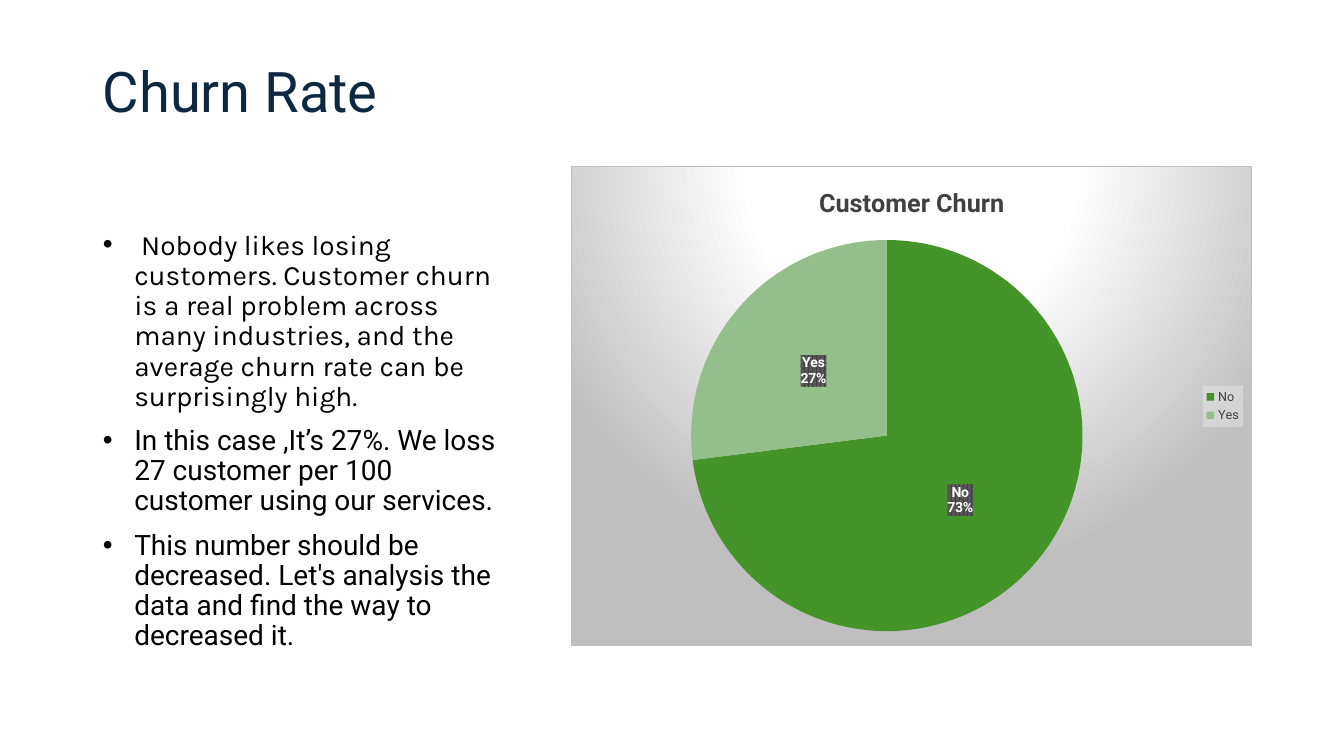
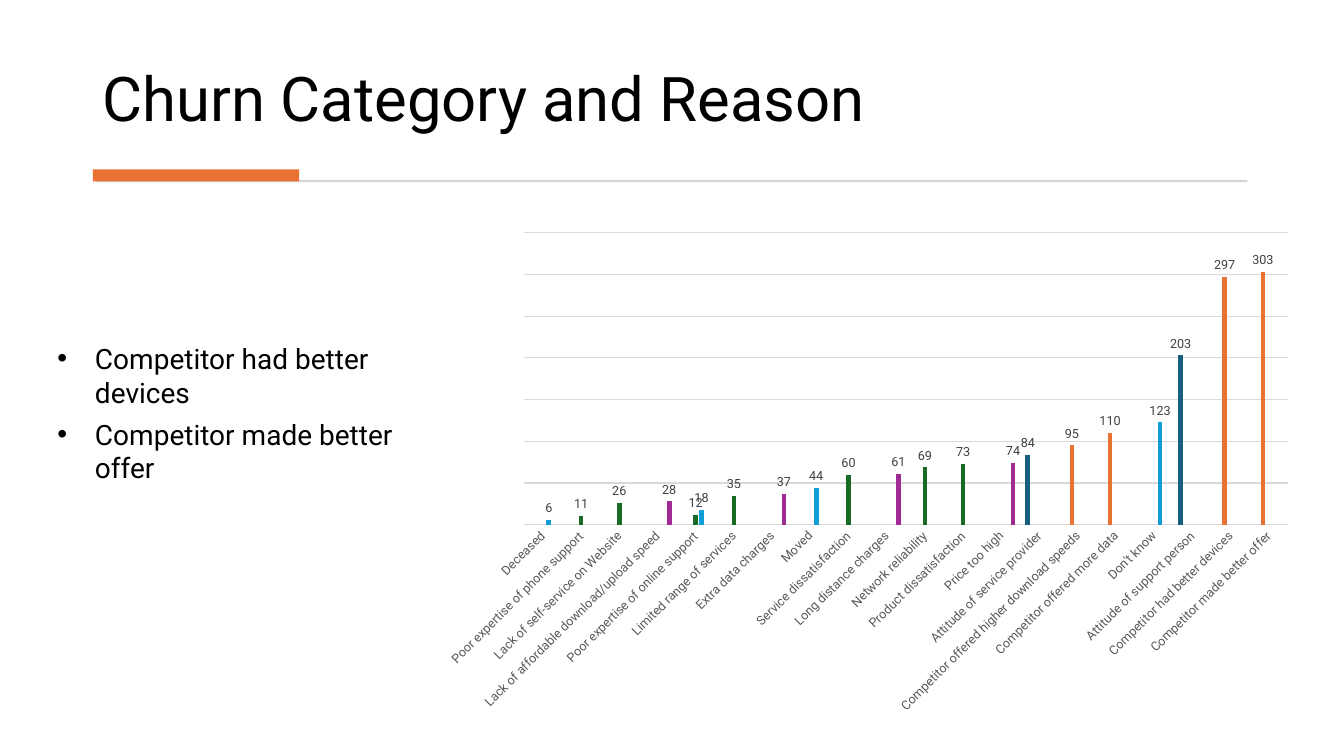
from dataclasses import dataclass

from lxml.etree import fromstring
from pptx import Presentation
from pptx.chart.data import CategoryChartData
from pptx.dml.color import RGBColor
from pptx.enum.chart import XL_CHART_TYPE, XL_LABEL_POSITION, XL_LEGEND_POSITION, XL_TICK_MARK
from pptx.enum.shapes import MSO_SHAPE
from pptx.enum.text import MSO_ANCHOR, MSO_AUTO_SIZE, PP_ALIGN
from pptx.util import Cm, Pt


@dataclass(frozen=True)
class Theme:
    font: str = "Roboto"
    quote_font: str = "Karla"
    black: str = "000000"
    white: str = "FFFFFF"
    navy: str = "0E2841"
    orange: str = "E97132"
    rule: str = "D5D5D5"
    grid: str = "D9D9D9"
    silver: str = "BFBFBF"
    dark: str = "404040"
    grey: str = "595959"
    pale: str = "F2F2F2"
    pie: tuple = ("459429", "93C08A")
    bars: tuple = ("156082", "E97132", "196B24", "0F9ED5", "A02B93")
    rate_title: int = 40
    reasons_title: int = 44
    body: int = 20
    chart_title: int = 18
    chart: int = 10
    small: int = 9


T = Theme()
NS = ('xmlns:a="http://schemas.openxmlformats.org/drawingml/2006/main" '
      'xmlns:c="http://schemas.openxmlformats.org/drawingml/2006/chart"')


def set_font(font, size, color, name=T.font, bold=False):
    font.size, font.name, font.bold = Pt(size), name, bold
    font.color.rgb = RGBColor.from_string(color)


def chart_xml(tag, content):
    return fromstring(f"<c:{tag} {NS}>{content}</c:{tag}>")


prs = Presentation()
prs.slide_width, prs.slide_height = Cm(33.87), Cm(19.05)

# Slide content: title, title style, boxes in cm, list paragraphs as runs
pages = [
    dict(title="Churn Rate", size=T.rate_title, color=T.navy,
         title_box=(2.34, 1.47, 10.92, 1.8), list_box=(2.34, 5.69, 10.92, 10.62),
         indent=0.79, line=0.9, before=10, after=0,
         items=[
             [(" ", T.font),
              ("Nobody likes losing customers. Customer churn is a real problem across many "
               "industries, and the average churn rate can be surprisingly high.", T.quote_font)],
             [("In this case ,It’s 27%. We loss 27 customer per 100 customer using our "
               "services.", T.font)],
             [("This number should be decreased. Let's analysis the data and find the way to "
               "decreased it.", T.font)],
         ]),
    dict(title="Churn Category and Reason", size=T.reasons_title, color=T.black,
         title_box=(2.34, 0.71, 29.18, 2.82), list_box=(1.19, 8.48, 8.99, 5),
         indent=0.95, line=1.0, before=0, after=6,
         items=[[("Competitor had better devices", T.font)],
                [("Competitor made better offer", T.font)]]),
]

# Titles and lists
slides = []
for page in pages:
    s = prs.slides.add_slide(prs.slide_layouts[1])
    slides.append(s)
    title, body = s.shapes.title, s.placeholders[1]
    for sp, box in ((title, page["title_box"]), (body, page["list_box"])):
        sp.left, sp.top, sp.width, sp.height = map(Cm, box)
        sp.text_frame.word_wrap = True
        sp.text_frame.auto_size = MSO_AUTO_SIZE.NONE

    tf = title.text_frame
    tf.vertical_anchor = MSO_ANCHOR.BOTTOM
    p = tf.paragraphs[0]
    p.alignment, p.line_spacing = PP_ALIGN.LEFT, 0.9
    r = p.add_run()
    r.text = page["title"]
    set_font(r.font, page["size"], page["color"])

    tf = body.text_frame
    for i, runs in enumerate(page["items"]):
        p = tf.add_paragraph() if i else tf.paragraphs[0]
        p.line_spacing = page["line"]
        p.space_before = Pt(page["before"] if i else 0)
        p.space_after = Pt(page["after"])
        pPr = p._p.get_or_add_pPr()
        pPr.set("marL", str(Cm(page["indent"])))
        pPr.set("indent", str(-Cm(page["indent"])))
        for text, name in runs:
            r = p.add_run()
            r.text = text
            set_font(r.font, T.body, T.black, name)

rate, reasons = slides

# Slide 1: churn pie
data = CategoryChartData()
data.categories = ["No", "Yes"]
data.add_series("Series 1", (73, 27))
pie_chart = rate.shapes.add_chart(XL_CHART_TYPE.PIE, Cm(14.4), Cm(4.19), Cm(17.15), Cm(12.09),
                                  data).chart
set_font(pie_chart.font, T.chart, T.black)
pie_chart.has_title = True
p = pie_chart.chart_title.text_frame.paragraphs[0]
r = p.add_run()
r.text = "Customer Churn"
set_font(r.font, T.chart_title, T.dark, bold=True)

pie_chart.has_legend = True
legend = pie_chart.legend
legend.position = XL_LEGEND_POSITION.RIGHT
legend.include_in_layout = False
set_font(legend.font, T.small, T.dark)

pie = pie_chart.plots[0]
for i, color in enumerate(T.pie):
    fill = pie.series[0].points[i].format.fill
    fill.solid()
    fill.fore_color.rgb = RGBColor.from_string(color)
pie.has_data_labels = True
labels = pie.data_labels
labels.show_percentage = labels.show_category_name = True
labels.show_value = False
labels.position = XL_LABEL_POSITION.CENTER
set_font(labels.font, T.chart, T.white, bold=True)
labels._element.find("{*}showBubbleSize").addnext(chart_xml("separator", "\n"))

# Backgrounds of the pie's chart area, legend and labels
stops = "".join(f'<a:gs pos="{pos}"><a:srgbClr val="{color}"/></a:gs>'
                for pos, color in ((0, T.white), (39000, T.white), (100000, T.silver)))
backgrounds = [
    (pie_chart._chartSpace,
     f'<a:gradFill><a:gsLst>{stops}</a:gsLst><a:path path="circle">'
     '<a:fillToRect l="50000" t="-80000" r="50000" b="180000"/></a:path></a:gradFill>'
     f'<a:ln w="9525"><a:solidFill><a:srgbClr val="{T.silver}"/></a:solidFill></a:ln>'),
    (legend._element,
     f'<a:solidFill><a:srgbClr val="{T.pale}"><a:alpha val="39000"/></a:srgbClr></a:solidFill>'),
    (labels._element,
     f'<a:pattFill prst="pct75"><a:fgClr><a:srgbClr val="{T.dark}"/></a:fgClr>'
     f'<a:bgClr><a:srgbClr val="{T.grey}"/></a:bgClr></a:pattFill>'),
]
for element, content in backgrounds:
    element.find("{*}txPr").addprevious(chart_xml("spPr", content))

# Slide 2: rule with accent under the title
for box, color in (((2.41, 4.54, 29.03, 0.05), T.rule), ((2.34, 4.27, 5.2, 0.3), T.orange)):
    sp = reasons.shapes.add_shape(MSO_SHAPE.RECTANGLE, *map(Cm, box))
    sp.shadow.inherit = False
    sp.fill.solid()
    sp.fill.fore_color.rgb = RGBColor.from_string(color)
    sp.line.fill.background()

# Slide 2: customers lost per reason, as {series index: count}
counts = {
    "Deceased": {3: 6},
    "Poor expertise of phone support": {2: 11},
    "Lack of self-service on Website": {2: 26},
    "Lack of affordable download/upload speed": {4: 28},
    "Poor expertise of online support": {2: 12, 3: 18},
    "Limited range of services": {2: 35},
    "Extra data charges": {4: 37},
    "Moved": {3: 44},
    "Service dissatisfaction": {2: 60},
    "Long distance charges": {4: 61},
    "Network reliability": {2: 69},
    "Product dissatisfaction": {2: 73},
    "Price too high": {4: 74},
    "Attitude of service provider": {0: 84},
    "Competitor offered higher download speeds": {1: 95},
    "Competitor offered more data": {1: 110},
    "Don't know": {3: 123},
    "Attitude of support person": {0: 203},
    "Competitor had better devices": {1: 297},
    "Competitor made better offer": {1: 303},
}
data = CategoryChartData()
data.categories = list(counts)
for i in range(len(T.bars)):
    data.add_series(f"Series {i + 1}", [row.get(i) for row in counts.values()])
bar_chart = reasons.shapes.add_chart(XL_CHART_TYPE.COLUMN_CLUSTERED, Cm(10.97), Cm(5.61),
                                     Cm(22.02), Cm(12.62), data).chart
set_font(bar_chart.font, T.chart, T.black)
bar_chart.has_title = bar_chart.has_legend = False
bars = bar_chart.plots[0]
bars.gap_width, bars.overlap = 219, -27
for series, color in zip(bars.series, T.bars):
    series.format.fill.solid()
    series.format.fill.fore_color.rgb = RGBColor.from_string(color)
    labels = series.data_labels
    labels.show_value = True
    labels.position = XL_LABEL_POSITION.OUTSIDE_END
    set_font(labels.font, T.small, T.dark)

# Axes of the bar chart
cat, val = bar_chart.category_axis, bar_chart.value_axis
cat.major_tick_mark = XL_TICK_MARK.NONE
set_font(cat.tick_labels.font, T.small, T.grey)
cat._element.find("{*}txPr/{*}bodyPr").set("rot", "-2700000")
val.visible = False
val.minimum_scale, val.maximum_scale, val.major_unit = 0, 350, 50
for line in (cat.format.line, val.major_gridlines.format.line):
    line.width = Pt(0.75)
    line.color.rgb = RGBColor.from_string(T.grid)

# Plot areas, in percent of the chart: left, top, width, height
plot_areas = [(pie_chart, (17.5, 15.3, 57.7, 81.7)), (bar_chart, (10.13, 2, 87.45, 58.35))]
for chart, area in plot_areas:
    plot_area = chart._chartSpace.chart.plotArea
    for old in plot_area.findall("{*}layout"):
        plot_area.remove(old)
    sizes = "".join(f'<c:{k} val="{v / 100:.4f}"/>' for k, v in zip("xywh", area))
    plot_area.insert(0, chart_xml(
        "layout", '<c:manualLayout><c:layoutTarget val="inner"/><c:xMode val="edge"/>'
                  f'<c:yMode val="edge"/>{sizes}</c:manualLayout>'))

prs.save("out.pptx")
